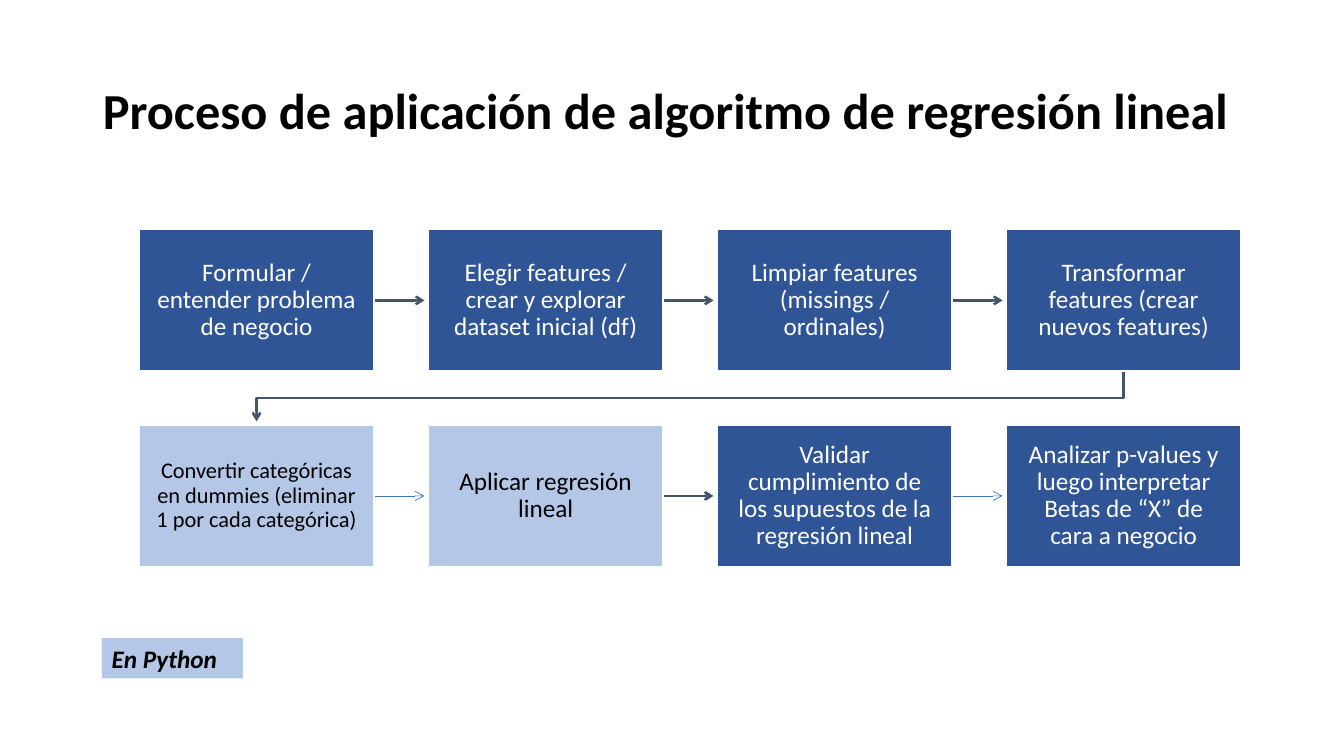
from lxml import etree
from pptx import Presentation
from pptx.dml.color import RGBColor
from pptx.enum.shapes import MSO_CONNECTOR, MSO_SHAPE
from pptx.enum.text import MSO_ANCHOR as Anchor, MSO_AUTO_SIZE as AutoSize, PP_ALIGN as Align
from pptx.oxml.ns import qn
from pptx.util import Inches, Pt

COLORS = {
    "step": "2F5597",
    "python": "B4C7E7",
    "arrow": "44546A",
    "thin_arrow": "4472C4",
    "white": "FFFFFF",
    "black": "000000",
}
FONT = "Calibri"

# Each step: text, whether it is done in Python, text size
STEPS = [
    [
        ("Formular / entender problema de negocio", False, 18),
        ("Elegir features / crear y explorar dataset inicial (df)", False, 18),
        ("Limpiar features (missings / ordinales)", False, 18),
        ("Transformar features (crear nuevos features)", False, 18),
    ],
    [
        ("Convertir categóricas en dummies (eliminar 1 por cada categórica)", True, 16),
        ("Aplicar regresión lineal", True, 18),
        ("Validar cumplimiento de los supuestos de la regresión lineal", False, 18),
        ("Analizar p-values y luego interpretar Betas de “X” de cara a negocio", False, 18),
    ],
]
THIN_ARROWS = {(1, 0), (1, 2)}  # row and column of the step they leave

STEP_W, STEP_H = 2.33, 1.4
ARROW_LENGTH = 0.5
ARROW_GAP = 0.04


def rgb(name):
    return RGBColor.from_string(COLORS[name])


def write(frame, text, size, color, align, bold=False, italic=False):
    paragraph = frame.paragraphs[0]
    paragraph.alignment = align
    run = paragraph.add_run()
    run.text = text
    font = run.font
    font.name, font.size = FONT, Pt(size)
    font.bold, font.italic = bold, italic
    font.color.rgb = rgb(color)
    return paragraph


def style_arrow(arrow, color, width):
    arrow.line.color.rgb = rgb(color)
    arrow.line.width = Pt(width)
    outline = arrow.line._get_or_add_ln()
    etree.SubElement(outline, qn("a:tailEnd"), type="arrow")


def add_title(slide, left, top, width, height):
    title = slide.shapes.title
    title.left, title.top = Inches(left), Inches(top)
    title.width, title.height = Inches(width), Inches(height)
    frame = title.text_frame
    frame.auto_size = AutoSize.NONE
    frame.word_wrap = True
    frame.vertical_anchor = Anchor.MIDDLE
    text = "Proceso de aplicación de algoritmo de regresión lineal"
    write(frame, text, 36, "black", Align.LEFT, bold=True).line_spacing = 0.9


def add_box(slide, left, top, width, height, fill):
    box = slide.shapes.add_shape(
        MSO_SHAPE.RECTANGLE, Inches(left), Inches(top), Inches(width), Inches(height))
    box.shadow.inherit = False
    box.fill.solid()
    box.fill.fore_color.rgb = rgb(fill)
    box.line.fill.background()
    box.text_frame.word_wrap = True
    return box


def add_step(slide, left, top, text, in_python, size):
    step = add_box(slide, left, top, STEP_W, STEP_H, "python" if in_python else "step")
    step.line.color.rgb = rgb("white")
    step.line.width = Pt(1)
    frame = step.text_frame
    frame.vertical_anchor = Anchor.MIDDLE
    frame.margin_left = frame.margin_right = Inches(0.14)
    frame.margin_top = frame.margin_bottom = Inches(0.14)
    color = "black" if in_python else "white"
    write(frame, text, size, color, Align.CENTER).line_spacing = 0.9


def add_arrow(slide, left, y, thin):
    arrow = slide.shapes.add_connector(
        MSO_CONNECTOR.STRAIGHT, Inches(left), Inches(y),
        Inches(left + ARROW_LENGTH), Inches(y))
    style_arrow(arrow, "thin_arrow" if thin else "arrow", 0.5 if thin else 1.75)
    etree.SubElement(arrow._element.spPr, qn("a:effectLst"))


def add_return_arrow(slide, start_x, start_y, end_x, end_y):
    bend_y = start_y + 0.27
    builder = slide.shapes.build_freeform(Inches(start_x), Inches(start_y))
    corners = [(start_x, bend_y), (end_x, bend_y), (end_x, end_y)]
    builder.add_line_segments([(Inches(x), Inches(y)) for x, y in corners], close=False)
    arrow = builder.convert_to_shape()
    arrow.shadow.inherit = False
    arrow.fill.background()
    style_arrow(arrow, "arrow", 1.75)


def add_process(slide, left, top, width, height):
    columns = len(STEPS[0])
    pitch_x = (width - STEP_W) / (columns - 1)
    pitch_y = height - STEP_H

    # Link from the end of the first row to the start of the second
    center = left + STEP_W / 2
    add_return_arrow(slide, center + pitch_x * (columns - 1), top + STEP_H,
                     center, top + pitch_y - ARROW_GAP)

    # Steps, with an arrow to the next one in the row
    for row, steps in enumerate(STEPS):
        y = top + row * pitch_y
        for column, (text, in_python, size) in enumerate(steps):
            x = left + column * pitch_x
            if column < columns - 1:
                add_arrow(slide, x + STEP_W, y + STEP_H / 2, (row, column) in THIN_ARROWS)
            add_step(slide, x, y, text, in_python, size)


def add_legend(slide, left, top, width, height):
    legend = add_box(slide, left, top, width, height, "python")
    legend.text_frame.vertical_anchor = Anchor.TOP
    write(legend.text_frame, "En Python", 18, "black", Align.LEFT, bold=True, italic=True)


def main():
    deck = Presentation()
    deck.slide_width, deck.slide_height = Inches(13.33), Inches(7.5)
    slide = deck.slides.add_slide(deck.slide_layouts[5])
    add_title(slide, 0.92, 0.4, 11.86, 1.45)
    add_process(slide, 1.38, 2.28, 10.93, 3.34)
    add_legend(slide, 1.01, 6.33, 1.4, 0.4)
    deck.save("out.pptx")


if __name__ == "__main__":
    main()
